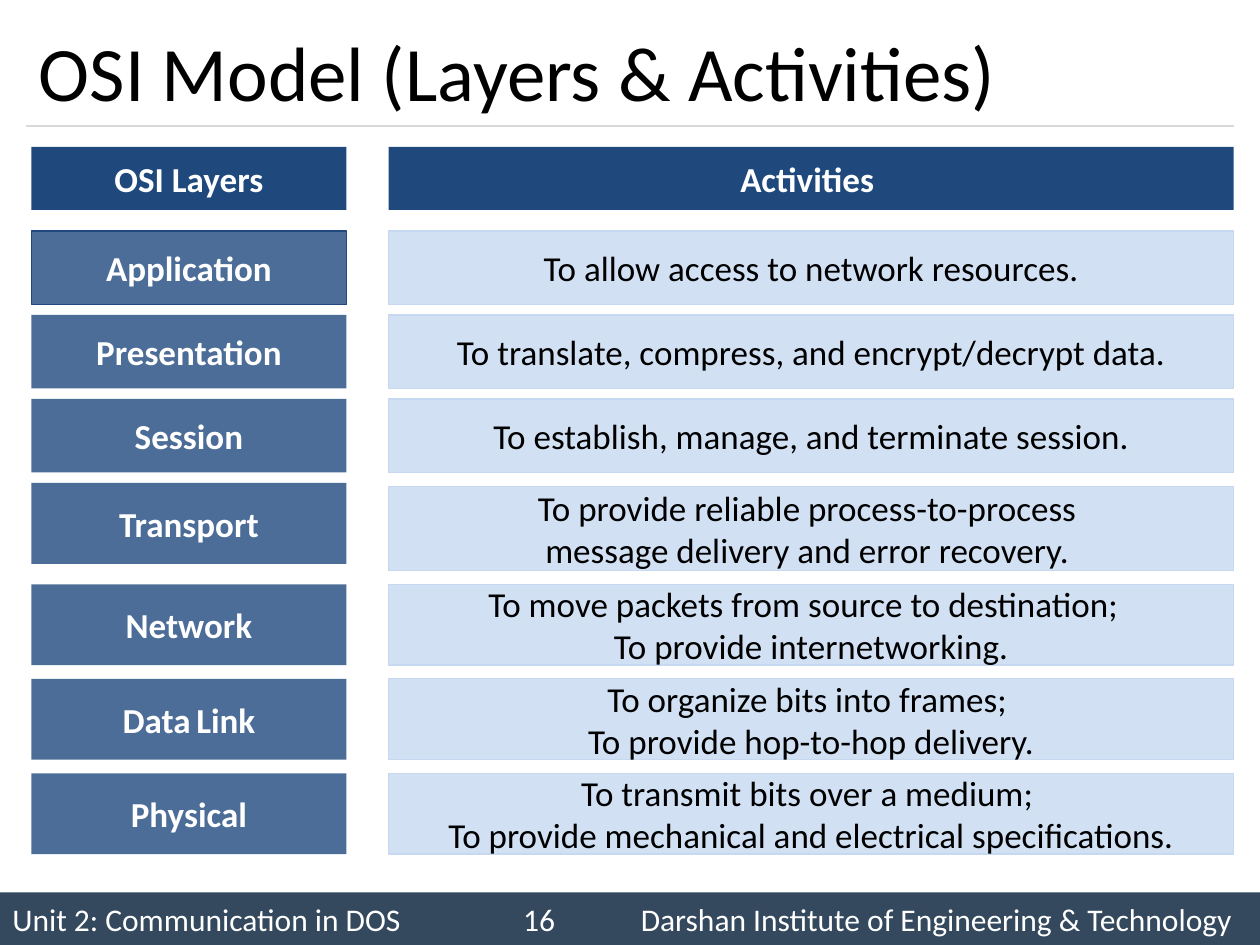
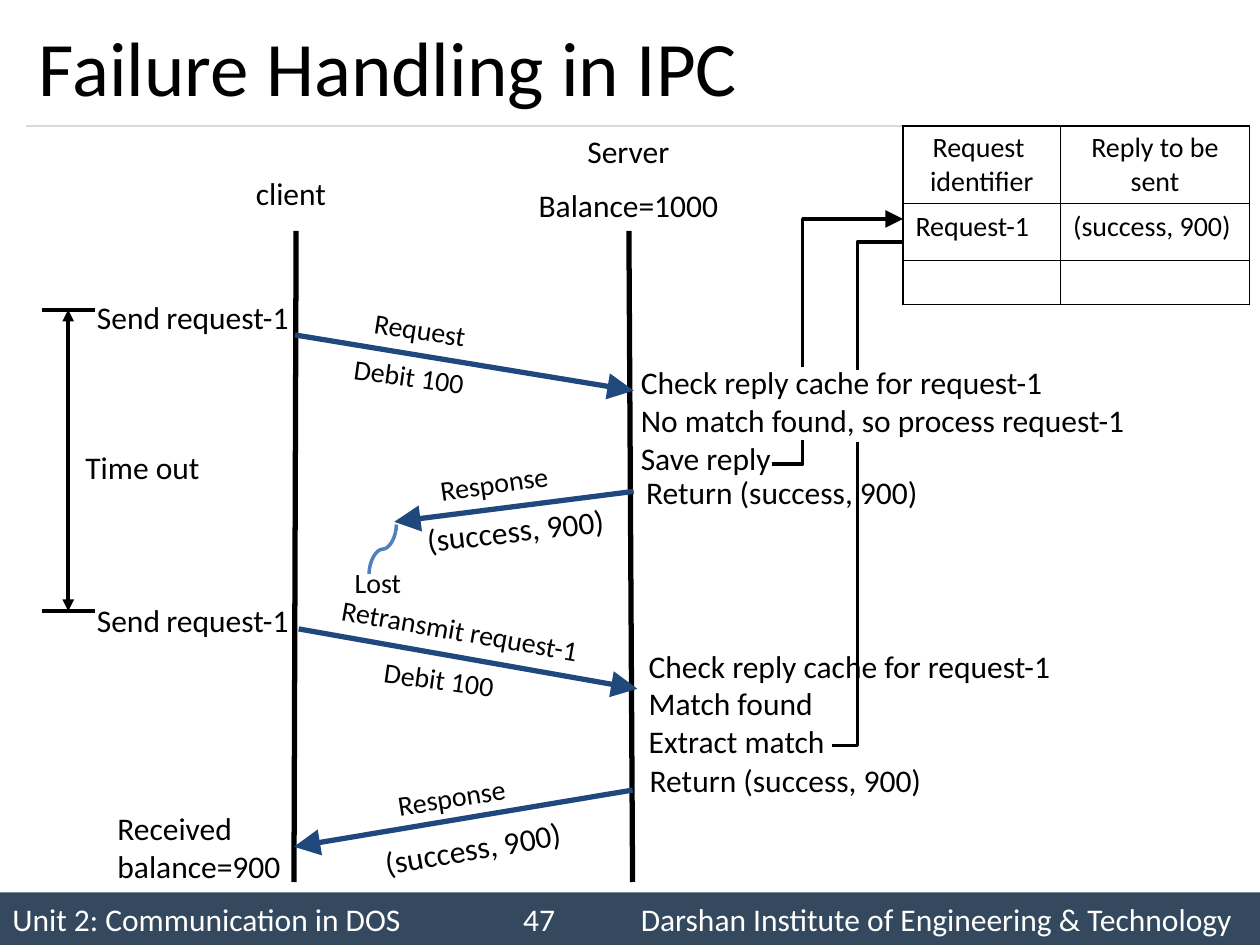
from dataclasses import dataclass
from itertools import product

from pptx import Presentation
from pptx.dml.color import RGBColor
from pptx.enum.shapes import MSO_CONNECTOR, MSO_SHAPE
from pptx.enum.text import MSO_ANCHOR, MSO_AUTO_SIZE, PP_ALIGN
from pptx.oxml import parse_xml
from pptx.oxml.ns import nsdecls, qn
from pptx.oxml.xmlchemy import OxmlElement
from pptx.util import Emu, Inches, Pt

# Shared style: the slide is a grid of 120 columns by 90 rows
COLUMNS, ROWS = 120, 90
CELL = Inches(10) // COLUMNS
FONT = "Calibri"
BLACK, WHITE, GREY = "000000", "FFFFFF", "D9D9D9"
NAVY, PALE, SLATE, BLUE = "1F497D", "C6D9F1", "34495E", "4F81BD"
UNIT = "Unit 2: Communication in DOS"
INSTITUTE = "Darshan Institute of Engineering & Technology"
Point = tuple[float, float]


@dataclass
class Layer:
    name: str
    activity: str
    top: float
    height: float
    activity_top: float = 0
    activity_height: float = 0


@dataclass
class Label:
    text: str
    left: float
    top: float
    width: float
    size: float = 18
    align: PP_ALIGN = PP_ALIGN.LEFT
    rotation: float = 0
    gap: float = 0
    space_size: float = 0
    wrap: bool = True


@dataclass
class Stroke:
    points: list[Point]
    color: str = BLACK
    width: float = 2
    head: str = ""
    tail: str = ""


LAYERS = [
    Layer("Application", "To allow access to network resources.", 22, 7),
    Layer("Presentation", "To translate, compress, and encrypt/decrypt data.", 30, 7),
    Layer("Session", "To establish, manage, and terminate session.", 38, 7),
    Layer("Transport", "To provide reliable process-to-process \n"
          "message delivery and error recovery. ", 46, 7.7, 46.35, 8),
    Layer("Network", "To move packets from source to destination;  \n"
          "To provide internetworking.", 55.65, 7.7),
    Layer("Data Link", "To organize bits into frames; \n"
          "To provide hop-to-hop delivery.", 64.65, 7.7),
    Layer("Physical", "To transmit bits over a medium; \n"
          "To provide mechanical and electrical specifications.", 73.65, 7.7),
]


def message(text: str, left: float, top: float, width: float, rotation: float) -> Label:
    return Label(text, left, top, width, 16, PP_ALIGN.CENTER, rotation)


def note(text: str, left: float, top: float, width: float, rotation: float = 0) -> Label:
    return Label(text, left, top, width, rotation=rotation, wrap=False)


def arrow(start: Point, end: Point) -> Stroke:
    return Stroke([start, end], NAVY, 3, tail="lg")


LABELS = [
    # Client side
    Label("client", 19.25, 16, 16.9, align=PP_ALIGN.CENTER),
    Label("Send request-1", 8.05, 27.8, 22.7, space_size=16),
    Label("Time out", 6.95, 42.1, 13.6),
    Label("Send request-1", 8.05, 56.65, 21.6, space_size=16),
    note("Received\nbalance=900", 10, 76.5, 18.1),
    # Messages
    message("Request", 30.2, 29.15, 19.6, 8.7),
    message("Debit 100", 29.15, 33.6, 19.6, 8),
    message("Response", 37.2, 43.8, 19.7, -8.1),
    note(" (success, 900)", 38.75, 48.1, 20.3, -6.4),
    Label("Lost", 32.6, 53.25, 11.3, 16),
    message("Retransmit request-1", 31.1, 57.8, 25.4, 10),
    message("Debit 100", 32, 62.5, 19.6, 8),
    message("Response", 33.15, 73.7, 19.7, -9),
    note(" (success, 900)", 34.7, 78.4, 20.3, -9.7),
    # Server side
    Label("Server\nBalance=1000", 47.75, 12, 24.2, align=PP_ALIGN.CENTER, gap=9),
    note("Check reply cache for request-1\nNo match found, so process request-1\n"
         "Save reply", 59.85, 34, 49.2),
    note("Return (success, 900)", 60.35, 44.45, 28.6),
    note("Check reply cache for request-1\nMatch found\nExtract match", 60.6, 61, 41.3),
    note("Return (success, 900)", 60.7, 71.9, 28.6),
]

STROKES = [
    # Lifelines of client and server
    Stroke([(28.2, 22), (28, 84)], width=3),
    Stroke([(59.9, 22), (60.25, 84)], width=3),
    # Messages
    arrow((28.1, 31.9), (60.35, 37.2)),
    arrow((60.35, 46.8), (37.55, 49.7)),
    arrow((28.45, 59.9), (60.7, 65.6)),
    arrow((60.25, 75.25), (28, 80.65)),
    # Time-out span
    Stroke([(4, 29.5), (9, 29.5)], width=2.25),
    Stroke([(4, 58.2), (9, 58.2)], width=2.25),
    Stroke([(6.5, 29.5), (6.5, 58.2)], width=2.25, head="med", tail="med"),
    # Paths to and from the reply cache
    Stroke([(73.5, 44.2), (76.45, 44.2), (76.45, 41.9)]),
    Stroke([(76.45, 35), (76.45, 20.85), (86, 20.85)], tail="lg"),
    Stroke([(81.65, 35.2), (81.65, 23.05), (86, 23.05)]),
    Stroke([(79.2, 71), (81.65, 71), (81.65, 42.1)]),
]

CACHE_COLUMNS = [15, 18]
CACHE_HEAD = [["Request \nidentifier", "Reply to be sent"], ["", ""], ["", ""]]
CACHE_ENTRY = [["Request-1", "(success, 900)"]]


def grid(*cells: float) -> list[Emu]:
    return [Emu(round(cell * CELL)) for cell in cells]


def rgb(color: str) -> RGBColor:
    return RGBColor.from_string(color)


def write(frame, text: str, *, size: float = 18, color: str = BLACK, bold: bool = False,
          align: PP_ALIGN = PP_ALIGN.LEFT, anchor: MSO_ANCHOR | None = None,
          gap: float = 0, space_size: float = 0) -> None:
    """Fill a text frame, one paragraph per line; space_size sets the first space apart."""
    if anchor is not None:
        frame.vertical_anchor = anchor
    for index, line in enumerate(text.split("\n")):
        para = frame.add_paragraph() if index else frame.paragraphs[0]
        para.alignment = align
        if index and gap:
            para.space_before = Pt(gap)
        for part in line.partition(" ") if space_size else [line]:
            span = para.add_run()
            span.text = part
            span.font.name, span.font.bold = FONT, bold
            span.font.size = Pt(space_size if part == " " else size)
            span.font.color.rgb = rgb(color)


def add_box(page, left: float, top: float, width: float, height: float, fill: str,
            *, alpha: int = 100, line: str | None = None):
    box = page.shapes.add_shape(MSO_SHAPE.RECTANGLE, *grid(left, top, width, height))
    box.shadow.inherit = False
    box.fill.solid()
    box.fill.fore_color.rgb = rgb(fill)
    if alpha < 100:
        opacity = OxmlElement("a:alpha")
        opacity.set("val", str(alpha * 1000))
        box.fill._xPr.find(".//" + qn("a:srgbClr")).append(opacity)
    if line:
        box.line.color.rgb, box.line.width = rgb(line), Pt(0.75)
    else:
        box.line.fill.background()
    return box


def add_cell_box(page, text: str, *place: float, fill: str, color: str = WHITE,
                 bold: bool = True, alpha: int = 100, line: str | None = None,
                 space_size: float = 0) -> None:
    frame = add_box(page, *place, fill, alpha=alpha, line=line).text_frame
    frame.margin_left = frame.margin_right = frame.margin_top = frame.margin_bottom = 0
    frame.word_wrap = False
    write(frame, text, size=20, color=color, bold=bold, space_size=space_size,
          align=PP_ALIGN.CENTER, anchor=MSO_ANCHOR.MIDDLE)


def add_label(page, label: Label) -> None:
    lines = label.text.count("\n") + 1
    left, top, width = grid(label.left, label.top, label.width)
    height = Inches(0.1) + Pt(label.size * 1.22 * lines + label.gap * (lines - 1))
    box = page.shapes.add_textbox(left, top, width, height)
    box.rotation = label.rotation
    box.text_frame.word_wrap = label.wrap
    write(box.text_frame, label.text, size=label.size, align=label.align, gap=label.gap,
          space_size=label.space_size)


def add_connector(page, start: Point, end: Point, kind=MSO_CONNECTOR.STRAIGHT):
    connector = page.shapes.add_connector(kind, *grid(*start, *end))
    connector._element.spPr.append(OxmlElement("a:effectLst"))
    return connector


def add_stroke(page, stroke: Stroke) -> None:
    if len(stroke.points) == 2:
        shape = add_connector(page, *stroke.points)
    else:
        corners = [grid(*point) for point in stroke.points]
        builder = page.shapes.build_freeform(*corners[0])
        builder.add_line_segments(corners[1:], close=False)
        shape = builder.convert_to_shape()
        shape.fill.background()
        shape.shadow.inherit = False
    shape.line.color.rgb, shape.line.width = rgb(stroke.color), Pt(stroke.width)
    for tag, size in (("a:headEnd", stroke.head), ("a:tailEnd", stroke.tail)):
        if size:
            end = OxmlElement(tag)
            for name, value in (("type", "triangle"), ("w", size), ("len", size)):
                end.set(name, value)
            shape.line._get_or_add_ln().append(end)


def add_lost_curve(page) -> None:
    curve = add_connector(page, (34.1, 51), (38.8, 53.6), MSO_CONNECTOR.CURVE)
    curve._element.spPr.find(qn("a:xfrm")).set("rot", str(90 * 60000))
    curve.line.color.rgb, curve.line.width = rgb(BLUE), Pt(2)


def add_cache_table(page, texts: list[list[str]], top: float, heights: list[float],
                    align: PP_ALIGN, margin: float) -> None:
    place = grid(86, top, sum(CACHE_COLUMNS), sum(heights))
    table = page.shapes.add_table(len(heights), len(CACHE_COLUMNS), *place).table
    table.first_row = table.horz_banding = False
    for column, width in zip(table.columns, grid(*CACHE_COLUMNS)):
        column.width = width
    for row, height in zip(table.rows, grid(*heights)):
        row.height = height
    for row, column in product(range(len(heights)), range(len(CACHE_COLUMNS))):
        cell, text = table.cell(row, column), texts[row][column]
        cell.margin_top = cell.margin_bottom = Inches(margin if text else 0.02)
        cell.fill.background()
        if text:
            write(cell.text_frame, text, size=16, align=align)
        for index, side in enumerate("LRTB"):
            border = parse_xml(
                f'<a:ln{side} {nsdecls("a")} w="12700"><a:solidFill>'
                f'<a:srgbClr val="{BLACK}"/></a:solidFill></a:ln{side}>')
            cell._tc.get_or_add_tcPr().insert(index, border)


def add_page(deck, title: str, number: int, title_top: float):
    """Add a slide with the shared footer bar, title rule and title."""
    page = deck.slides.add_slide(deck.slide_layouts[5])
    # Footer bar with tab stops for number and institute
    footer = add_box(page, 0, 85, COLUMNS, 5, SLATE).text_frame
    stops = OxmlElement("a:tabLst")
    for position in grid(48.65, 59.85):
        stop = OxmlElement("a:tab")
        stop.set("pos", str(position))
        stop.set("algn", "l")
        stops.append(stop)
    footer.paragraphs[0]._p.get_or_add_pPr().append(stops)
    write(footer, f"{UNIT}\t{number}\t{INSTITUTE}", color=WHITE, anchor=MSO_ANCHOR.MIDDLE)
    # Title and its rule
    add_stroke(page, Stroke([(2.5, 12), (117.5, 12)], GREY, 0.75))
    heading = page.shapes.title
    heading.left, heading.top, heading.width, heading.height = grid(2.5, title_top, 115, 10.5)
    heading.text_frame.auto_size = MSO_AUTO_SIZE.NONE
    write(heading.text_frame, title, size=44, anchor=MSO_ANCHOR.MIDDLE)
    return page


def build_layers(deck) -> None:
    page = add_page(deck, "OSI Model (Layers & Activities)", 16, 1.5)
    name_column, activity_column = (3, 30), (37, 80.5)
    for text, (left, width) in (("OSI Layers", name_column), ("Activities ", activity_column)):
        add_cell_box(page, text, left, 14, width, 6, fill=NAVY)
    for layer in LAYERS:
        left, width = name_column
        add_cell_box(page, layer.name, left, layer.top, width, layer.height, fill=NAVY,
                     alpha=80, line=NAVY if layer is LAYERS[0] else None,
                     space_size=14 if " " in layer.name else 0)
        left, width = activity_column
        add_cell_box(page, layer.activity, left, layer.activity_top or layer.top, width,
                     layer.activity_height or layer.height, fill=PALE, color=BLACK,
                     bold=False, alpha=80, line=PALE)


def build_failure_handling(deck) -> None:
    page = add_page(deck, "Failure Handling in IPC", 47, 1)
    for label in LABELS:
        add_label(page, label)
    add_cache_table(page, CACHE_HEAD, 12, [7.4, 5.4, 4.2], PP_ALIGN.CENTER, 0.04)
    add_cache_table(page, CACHE_ENTRY, 19.4, [5.4], PP_ALIGN.LEFT, 0.05)
    for stroke in STROKES:
        add_stroke(page, stroke)
    add_lost_curve(page)


def main() -> None:
    deck = Presentation()
    deck.slide_width, deck.slide_height = grid(COLUMNS, ROWS)
    build_layers(deck)
    build_failure_handling(deck)
    deck.save("out.pptx")


if __name__ == "__main__":
    main()
